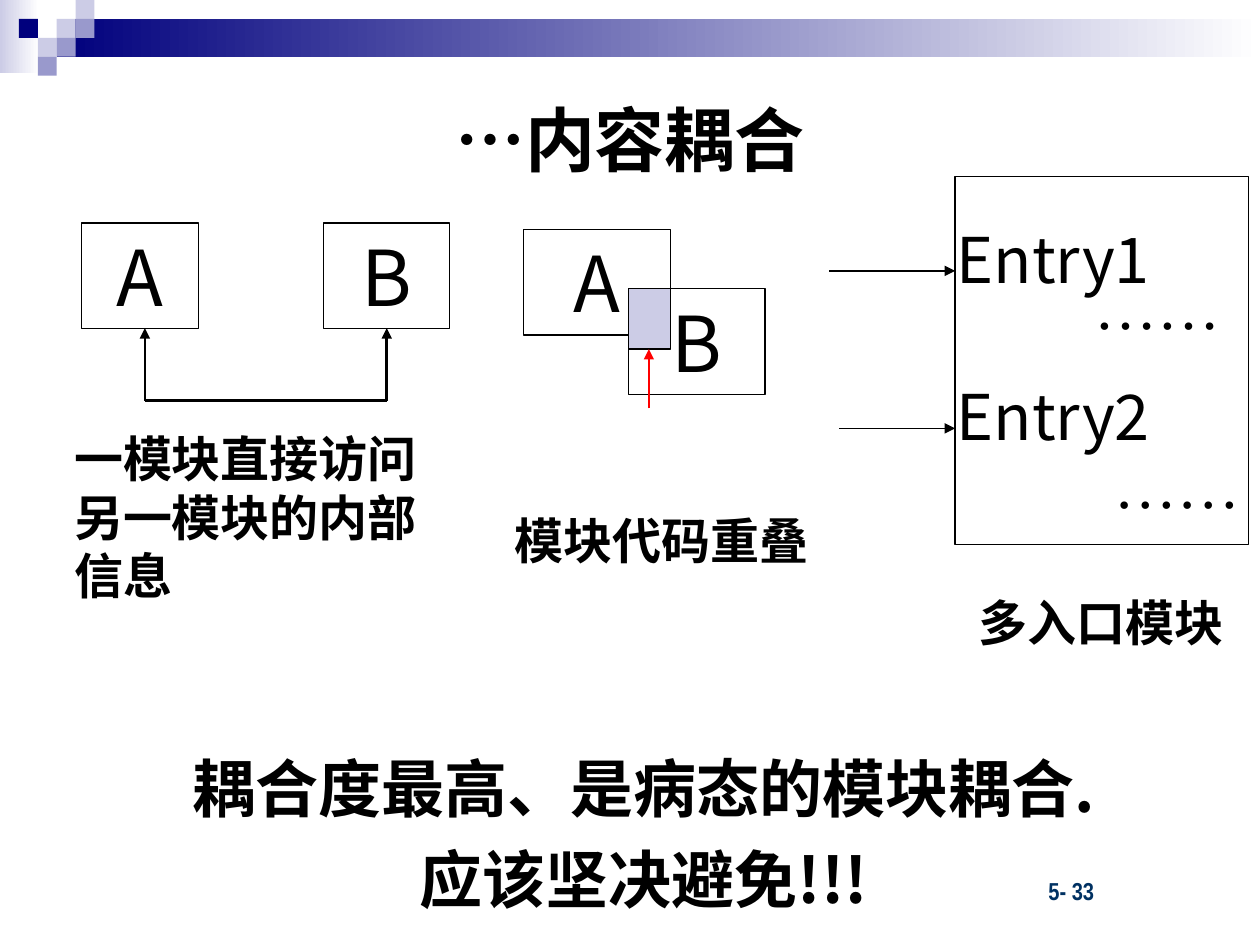
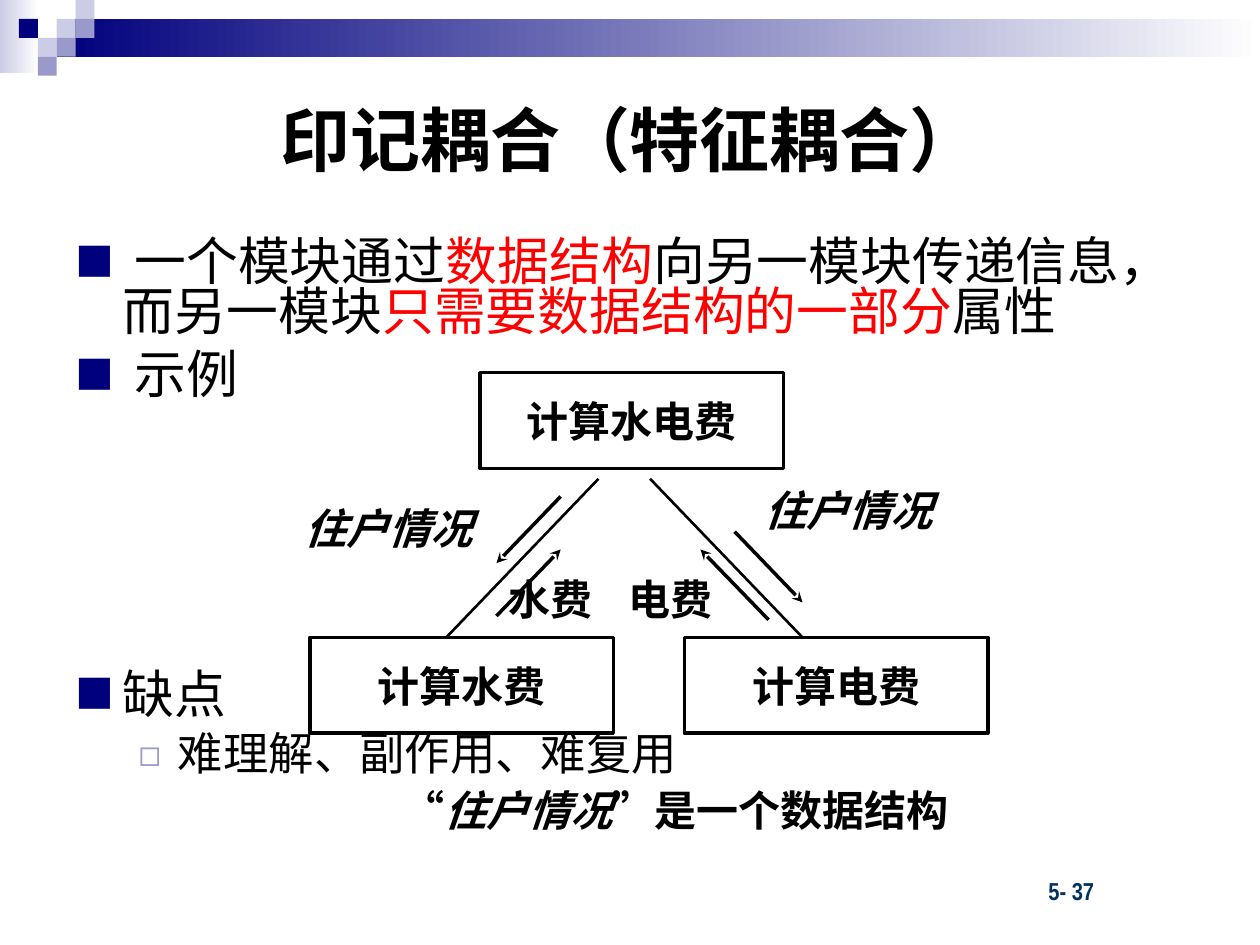
from lxml.etree import SubElement
from pptx import Presentation
from pptx.dml.color import RGBColor
from pptx.enum.shapes import MSO_CONNECTOR, MSO_SHAPE
from pptx.enum.text import MSO_ANCHOR, MSO_AUTO_SIZE, PP_ALIGN
from pptx.oxml.ns import qn
from pptx.util import Pt

# ---------- Shared style ----------
COLORS = {
    "black": "000000", "white": "FFFFFF", "red": "FF0000", "navy": "00007D",
    "lavender": "CCCCE6", "violet": "9999CC", "page": "003162",
}
MAIN_FONT = "Noto Sans CJK SC"
DOTS_FONT = "Times New Roman"
PAGE_FONT = "Arial Narrow"
CENTER, LEFT = PP_ALIGN.CENTER, PP_ALIGN.LEFT

TITLE_BOX = (36, 36, 648, 86.4)
PAGE_BOX = (592, 497, 100, 24)
CELL = 10.8
GRADIENT_BANDS = [("lavender", (0, 0, 22.3, 41.8)),
                  ("navy", (3 * CELL, CELL, 720 - 3 * CELL, 2 * CELL))]
# colour, column, row
SQUARES = [("lavender", 3, 1), ("lavender", 4, 0), ("violet", 4, 1),
           ("lavender", 2, 2), ("navy", 1, 1), ("violet", 3, 2), ("violet", 2, 3)]

# ---------- Slide 1 content ----------
CONTENT_TITLE, CONTENT_PAGE = "…内容耦合", "5- 33"
MODULES = [("A", (46.8, 127.4, 66.5, 60.5)), ("B", (185, 127.4, 72, 60.5)),
           ("A", (299, 131, 84, 60.5)), ("B", (359.3, 165, 77.8, 60.5))]
OVERLAP = (359.3, 165, 23.8, 34.5)
ENTRY_BOX = (545.8, 100.8, 167.8, 210.2)
ENTRIES = [("Entry1", (530, 122.4, 144, 50)), ("Entry2", (530, 212.4, 144, 50))]
DOTS = [(618, 149, 86.4, 50), (629.3, 251.3, 86.4, 50)]
CAPTIONS = [("一模块直接访问另一模块的内部信息", (35.3, 241.2, 221.8, 108), LEFT),
            ("模块代码重叠", (287, 288, 182.2, 41), CENTER),
            ("多入口模块", (552, 334.8, 154, 41), CENTER)]
CONCLUSION = ["耦合度最高、是病态的模块耦合.", "应该坚决避免!!!"]
CONCLUSION_BOX = (77, 424.8, 581.8, 103)
# start x, start y, end x, end y, colour, width, arrowhead
CONTENT_LINES = [
    (82.8, 229, 82.8, 187.5, "black", 1.5, "triangle"),
    (221, 229, 221, 187.5, "black", 1.5, "triangle"),
    (82.8, 229, 221, 229, "black", 1.5, None),
    (370.8, 233.3, 370.8, 199.5, "red", 1.5, "triangle"),
    (473.8, 154.8, 545.8, 154.8, "black", 0.75, "triangle"),
    (479.5, 244.8, 545.8, 244.8, "black", 0.75, "triangle"),
]

# ---------- Slide 2 content ----------
STAMP_TITLE, STAMP_PAGE = "印记耦合（特征耦合）", "5- 37"
BODY_BOX = (36, 134, 648, 328)
# level, space before, runs (text, style)
BODY = [
    (0, 0, [(" 一个模块通过", {}), ("数据结构", {"color": "red"}),
            ("向另一模块传递信息，而另一模块", {}),
            ("只需要数据结构的一部分", {"color": "red"}), ("属性", {})]),
    (0, 8, [(" 示例", {})]),
    (0, 154, [("缺点", {})]),
    (1, 7, [("难理解、副作用、难复用", {})]),
]
# left margin, hanging indent, size, bullet, bullet colour, bullet percent
LEVELS = [(27, 27, 29.6, "■", "navy", 75), (58.5, 22.5, 25.9, "◻", "violet", 80)]
CALCULATIONS = [("计算水电费", 274.3, 213), ("计算水费", 177, 364.3),
                ("计算电费", 391, 364.3)]
CALCULATION_SIZE = (173.5, 54.7)
# text, box, italic
FLOW_LABELS = [("住户情况", (167, 283.7, 136, 36), True),
               ("住户情况", (430, 273.6, 145.4, 36), True),
               ("水费", (283.7, 324, 77.8, 36), False),
               ("电费", (352, 324, 77.8, 36), False)]
NOTE = [("“", {}), ("住户情况", {"italic": True}), ("”是一个数据结构", {})]
NOTE_BOX = (196.6, 445, 378.7, 36)
STAMP_LINES = [
    (342, 273.6, 255, 364.3, "black", 1.5, None),
    (371.5, 273.6, 458.6, 364.3, "black", 1.5, None),
    (320.4, 283.7, 283.7, 321.8, "black", 2, "stealth"),
    (283.7, 352, 320.4, 314, "black", 2, "stealth"),
    (419.8, 303.8, 458.6, 344.2, "black", 2, "stealth"),
    (439.2, 354.2, 400.3, 314, "black", 2, "stealth"),
]


# ---------- Helpers ----------
def rgb(name):
    return RGBColor.from_string(COLORS[name])


def points(values):
    return [Pt(value) for value in values]


def style_paragraph(paragraph, size, bold=False, italic=False, color="black",
                    font=MAIN_FONT, align=LEFT):
    paragraph.alignment = align
    paragraph.font.size = Pt(size)
    paragraph.font.bold = bold
    paragraph.font.italic = italic
    paragraph.font.color.rgb = rgb(color)
    paragraph.font.name = font
    defaults = paragraph._p.pPr.find(qn("a:defRPr"))
    SubElement(defaults, qn("a:ea")).set("typeface", font)


def add_runs(paragraph, runs):
    for text, style in runs:
        run = paragraph.add_run()
        run.text = text
        if "color" in style:
            run.font.color.rgb = rgb(style["color"])
        if "italic" in style:
            run.font.italic = style["italic"]


def add_text(slide, paragraphs, box, size, wrap=True, gap=0, **style):
    """Each paragraph is a string or a list of (text, style) runs."""
    frame = slide.shapes.add_textbox(*points(box)).text_frame
    frame.word_wrap = wrap
    for index, content in enumerate(paragraphs):
        paragraph = frame.add_paragraph() if index else frame.paragraphs[0]
        if index:
            paragraph.space_before = Pt(gap)
        runs = [(content, {})] if isinstance(content, str) else content
        add_runs(paragraph, runs)
        style_paragraph(paragraph, size, **style)


def add_box(slide, box, fill=None, line_width=0, text="", size=24, bold=False):
    shape = slide.shapes.add_shape(MSO_SHAPE.RECTANGLE, *points(box))
    shape.shadow.inherit = False
    if fill:
        shape.fill.solid()
        shape.fill.fore_color.rgb = rgb(fill)
    else:
        shape.fill.background()
    if line_width:
        shape.line.color.rgb = rgb("black")
        shape.line.width = Pt(line_width)
    else:
        shape.line.fill.background()
    if text:
        frame = shape.text_frame
        frame.word_wrap = False
        frame.margin_top = frame.margin_bottom = 0
        frame.vertical_anchor = MSO_ANCHOR.MIDDLE
        frame.text = text
        style_paragraph(frame.paragraphs[0], size, bold=bold, align=CENTER)
    return shape


def add_line(slide, x1, y1, x2, y2, color, width, head):
    connector = slide.shapes.add_connector(
        MSO_CONNECTOR.STRAIGHT, *points((x1, y1, x2, y2)))
    connector.line.color.rgb = rgb(color)
    connector.line.width = Pt(width)
    properties = connector.element.spPr
    if head:
        SubElement(properties.find(qn("a:ln")), qn("a:tailEnd")).set("type", head)
    SubElement(properties, qn("a:effectLst"))


def place(placeholder, box):
    placeholder.left, placeholder.top, placeholder.width, placeholder.height = points(box)
    placeholder.text_frame.auto_size = MSO_AUTO_SIZE.NONE


def add_bullet(paragraph, margin, hanging, bullet, color, percent):
    properties = paragraph._p.get_or_add_pPr()
    properties.set("marL", str(Pt(margin)))
    properties.set("indent", str(-Pt(hanging)))
    bullet_color = SubElement(properties, qn("a:buClr"))
    SubElement(bullet_color, qn("a:srgbClr")).set("val", COLORS[color])
    SubElement(properties, qn("a:buSzPct")).set("val", str(percent * 1000))
    SubElement(properties, qn("a:buFont")).set("typeface", MAIN_FONT)
    SubElement(properties, qn("a:buChar")).set("char", bullet)


def start_slide(presentation, layout_index, title, page):
    slide = presentation.slides.add_slide(presentation.slide_layouts[layout_index])
    # Header band and squares
    for color, box in GRADIENT_BANDS:
        fill = add_box(slide, box).fill
        fill.gradient()
        fill.gradient_angle = 0
        for stop, name, position in zip(fill.gradient_stops, (color, "white"), (0, 1)):
            stop.color.rgb = rgb(name)
            stop.position = position
    for color, column, row in SQUARES:
        add_box(slide, (column * CELL, row * CELL, CELL, CELL), color)
    # Title and page number
    place(slide.shapes.title, TITLE_BOX)
    frame = slide.shapes.title.text_frame
    frame.vertical_anchor = MSO_ANCHOR.MIDDLE
    frame.text = title
    style_paragraph(frame.paragraphs[0], 40, bold=True, align=CENTER)
    add_text(slide, [page], PAGE_BOX, 14, bold=True, color="page", font=PAGE_FONT)
    return slide


# ---------- Slides ----------
def build_content_coupling(presentation):
    slide = start_slide(presentation, 5, CONTENT_TITLE, CONTENT_PAGE)
    for name, box in MODULES:
        add_box(slide, box, line_width=0.75, text=name, size=44)
    add_box(slide, OVERLAP, "lavender", 0.75)
    add_box(slide, ENTRY_BOX, line_width=0.75)
    for name, box in ENTRIES:
        add_text(slide, [name], box, 36, wrap=False, align=CENTER)
    for box in DOTS:
        add_text(slide, ["……"], box, 36, wrap=False, align=CENTER, font=DOTS_FONT)
    for line in CONTENT_LINES:
        add_line(slide, *line)
    for text, box, align in CAPTIONS:
        add_text(slide, [text], box, 28, wrap=align == LEFT, bold=True, align=align)
    add_text(slide, CONCLUSION, CONCLUSION_BOX, 36, gap=9, bold=True, align=CENTER)


def build_stamp_coupling(presentation):
    slide = start_slide(presentation, 1, STAMP_TITLE, STAMP_PAGE)
    # Bulleted list
    body = slide.placeholders[1]
    place(body, BODY_BOX)
    frame = body.text_frame
    for index, (level, gap, runs) in enumerate(BODY):
        paragraph = frame.add_paragraph() if index else frame.paragraphs[0]
        margin, hanging, size, *bullet = LEVELS[level]
        paragraph.level = level
        paragraph.line_spacing = 0.8
        paragraph.space_before = Pt(gap)
        add_bullet(paragraph, margin, hanging, *bullet)
        add_runs(paragraph, runs)
        style_paragraph(paragraph, size)
    # Structure chart
    for line in STAMP_LINES:
        add_line(slide, *line)
    for text, box, italic in FLOW_LABELS:
        add_text(slide, [text], box, 24, bold=True, italic=italic)
    add_text(slide, [NOTE], NOTE_BOX, 24, bold=True, align=CENTER)
    for text, left, top in CALCULATIONS:
        add_box(slide, (left, top, *CALCULATION_SIZE), "white", 2, text, bold=True)


def main():
    presentation = Presentation()
    presentation.slide_width, presentation.slide_height = Pt(720), Pt(540)
    build_content_coupling(presentation)
    build_stamp_coupling(presentation)
    presentation.save("out.pptx")


if __name__ == "__main__":
    main()
